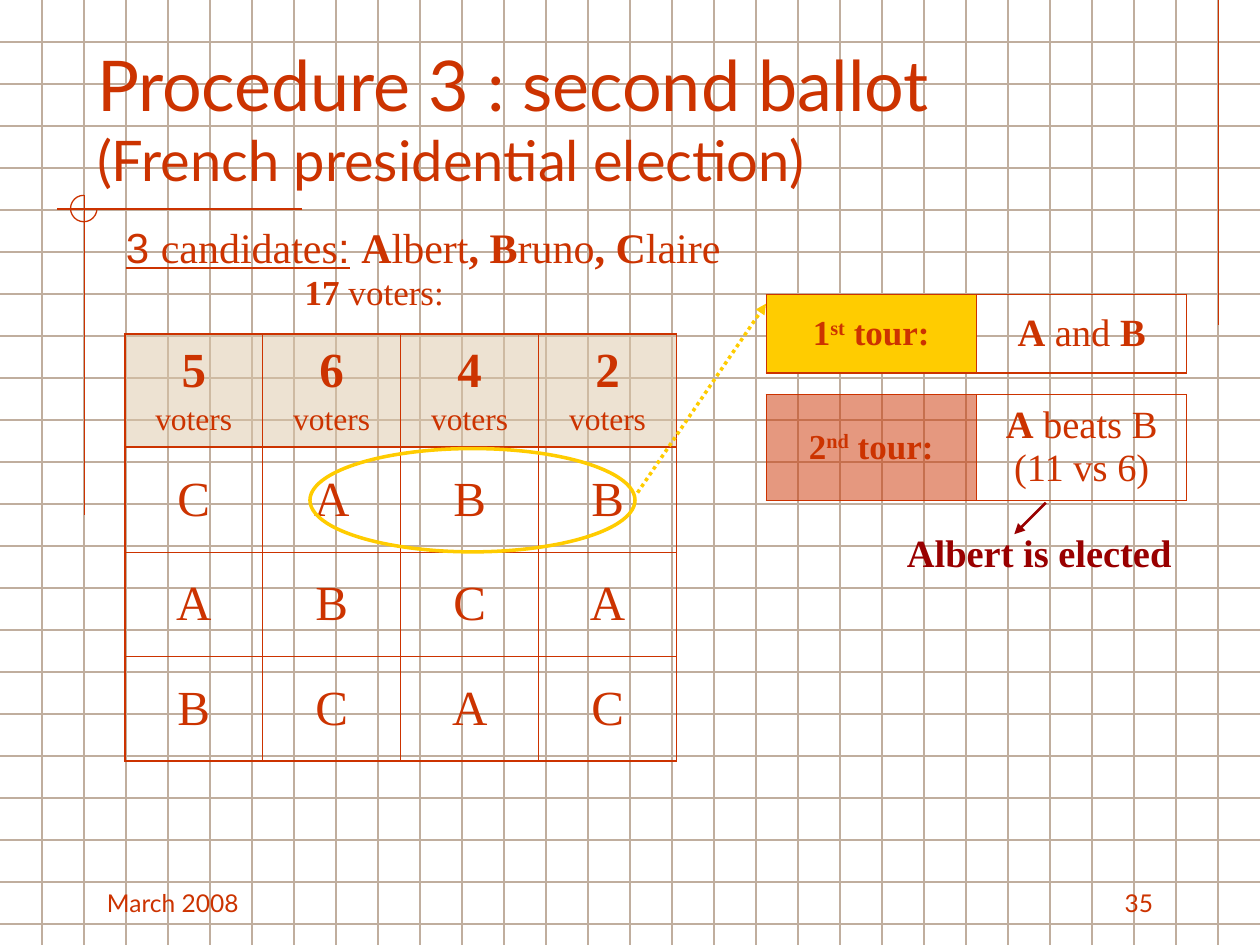
from pptx import Presentation
from pptx.dml.color import RGBColor
from pptx.enum.dml import MSO_LINE
from pptx.enum.shapes import MSO_CONNECTOR, MSO_SHAPE
from pptx.enum.text import MSO_ANCHOR, MSO_AUTO_SIZE, PP_ALIGN
from pptx.oxml.ns import qn
from pptx.util import Inches, Pt
from lxml.etree import SubElement

INK = {"rust": "CC3300", "grid": "C0AE9E", "gold": "FFCC00",
       "wine": "990000", "sand": "DDC6A7"}
SERIF, HEAD, SANS = "Times New Roman", "Lato", "Arial"

# Content: a run is (text, flags), b bold, u underlined, s sans, ^ raised
TITLE = "Procedure 3 : second ballot\v(French presidential election)"
NAMES = [("3 ", "us"), ("candidates", "u"), (":", "us"), (" ", "bs"),
         ("A", "b"), ("lbert", ""), (", B", "b"), ("runo", ""),
         (", C", "b"), ("laire", "")]
TOTAL = [("17", "b"), (" voters:", "")]
GROUPS = ["5", "6", "4", "2"]
RANKS = ["CABB", "ABCA", "BCAC"]
# Top, height, label fill, opacity, label, outcome
TOURS = [
    (2.34, 0.62, "gold", 100, [("1", "b"), ("st", "b^"), (" tour:", "b")],
     [("A", "b"), (" and ", ""), ("B", "b")]),
    (3.13, 0.84, "rust", 50, [("2", "b"), ("nd", "b^"), (" tour:", "b")],
     [("A", "b"), (" beats B (11 vs 6)", "")]),
]
WINNER = [("Albert is elected", "b")]

prs = Presentation()
prs.slide_width, prs.slide_height = Inches(10), Inches(7.5)
slide = prs.slides.add_slide(prs.slide_layouts[5])
shapes = slide.shapes


def tint(name):
    return RGBColor.from_string(INK[name])


def style(font, size, face=SERIF, color="rust"):
    font.size, font.name = Pt(size), face
    font.color.rgb = tint(color)


def write(par, runs, size, face=SERIF, color="rust", align=PP_ALIGN.LEFT):
    par.alignment = align
    for text, flags in runs:
        run = par.add_run()
        run.text = text
        style(run.font, size, SANS if "s" in flags else face, color)
        run.font.bold = "b" in flags
        run.font.underline = "u" in flags
        if "^" in flags:
            run.font._element.set("baseline", "30000")


def label(x, y, w, h, runs, size, anchor=MSO_ANCHOR.TOP, **look):
    frame = shapes.add_textbox(*map(Inches, (x, y, w, h))).text_frame
    frame.word_wrap, frame.vertical_anchor = True, anchor
    write(frame.paragraphs[0], runs, size, **look)


def line(x1, y1, x2, y2, color="rust", width=0.75, arrow=False):
    link = shapes.add_connector(MSO_CONNECTOR.STRAIGHT,
                                *map(Inches, (x1, y1, x2, y2)))
    link.line.color.rgb, link.line.width = tint(color), Pt(width)
    if arrow:
        SubElement(link.line._get_or_add_ln(), qn("a:tailEnd"), type="triangle")
    SubElement(link._element.spPr, qn("a:effectLst"))
    return link


def outline(kind, x, y, w, h, color, width):
    shape = shapes.add_shape(kind, *map(Inches, (x, y, w, h)))
    shape.shadow.inherit = False
    shape.fill.background()
    shape.line.color.rgb, shape.line.width = tint(color), Pt(width)
    return shape


def table(x, y, widths, heights, edge, head=False):
    """Add a plain table with thick outer and thin inner borders."""
    grid = shapes.add_table(len(heights), len(widths), Inches(x), Inches(y),
                            Inches(sum(widths)), Inches(sum(heights))).table
    grid.first_row = grid.horz_banding = False
    for col, w in zip(grid.columns, widths):
        col.width = Inches(w)
    for row, h in zip(grid.rows, heights):
        row.height = Inches(h)
    for r in range(len(heights)):
        for c in range(len(widths)):
            cell = grid.cell(r, c)
            cell.vertical_anchor = MSO_ANCHOR.MIDDLE
            thick = {"L": c == 0, "R": c == len(widths) - 1,
                     "T": r == 0 or head and r == 1,
                     "B": r == len(heights) - 1 or head and r == 0}
            for side, outer in thick.items():
                ln = SubElement(cell._tc.get_or_add_tcPr(), qn("a:ln" + side),
                                w=str(Pt(edge if outer else 0.45)))
                SubElement(SubElement(ln, qn("a:solidFill")),
                           qn("a:srgbClr"), val=INK["rust"])
            cell.fill.background()
    return grid


def paint(cell, color, alpha):
    cell.fill.solid()
    cell.fill.fore_color.rgb = tint(color)
    if alpha < 100:
        clr = cell._tc.tcPr.find(qn("a:solidFill")).find(qn("a:srgbClr"))
        SubElement(clr, qn("a:alpha"), val=str(alpha * 1000))


def center(cell, runs, size):
    write(cell.text_frame.paragraphs[0], runs, size, align=PP_ALIGN.CENTER)


# Squared paper
for i in range(1, 23):
    line(0, i / 3, 10, i / 3, "grid")
for i in range(1, 30):
    line(i / 3, 0, i / 3, 7.5, "grid")

# Rust ornaments
line(9.67, 0, 9.67, 2.58)
line(2.4, 1.66, 0.45, 1.66)
line(0.67, 1.55, 0.67, 4.09)
arc = outline(MSO_SHAPE.ARC, 0.56, 1.55, 0.21, 0.21, "rust", 0.75)
arc.adjustments[0], arc.adjustments[1] = 0, 162

# Footer
for x, text, align in [(0.75, "March 2008", PP_ALIGN.LEFT),
                       (7.17, "35", PP_ALIGN.RIGHT)]:
    label(x, 6.83, 2.08, 0.5, [(text, "")], 14, face=HEAD,
          anchor=MSO_ANCHOR.BOTTOM, align=align)

# Candidates and voters
label(0.9, 1.71, 5.04, 0.5, NAMES, 24)
label(2.32, 2.1, 1.5, 0.44, TOTAL, 20)

# Preference table
votes = table(0.99, 2.65, [1.095] * 4, [0.9] + [0.83] * 3, 1.08, head=True)
for c, count in enumerate(GROUPS):
    cell = votes.cell(0, c)
    paint(cell, "sand", 50)
    center(cell, [(count, "b")], 28)
    unit = cell.text_frame.add_paragraph()
    unit.space_before = Pt(2.2)
    write(unit, [("voters", "")], 18, align=PP_ALIGN.CENTER)
    for r, rank in enumerate(RANKS, 1):
        center(votes.cell(r, c), [(rank[c], "")], 28)

# First choices lead to the first tour
link = line(5.06, 3.91, 6.08, 2.41, "gold", 2, arrow=True)
link.line.dash_style = MSO_LINE.ROUND_DOT
outline(MSO_SHAPE.OVAL, 2.46, 3.56, 2.58, 0.82, "gold", 2)

# Tours
for top, high, color, alpha, name, result in TOURS:
    tour = table(6.08, top, [1.67] * 2, [high], 0.75)
    paint(tour.cell(0, 0), color, alpha)
    center(tour.cell(0, 0), name, 20)
    center(tour.cell(0, 1), result, 22)

# Winner
label(7.1, 4.15, 2.6, 0.47, WINNER, 22, color="wine")
line(8.3, 3.99, 8.05, 4.24, "wine", 1.5, arrow=True)

# Title, brought in front of the squared paper
title = shapes.title
title.left, title.top, title.width, title.height = map(
    Inches, (0.67, 0.33, 8.5, 1.25))
frame = title.text_frame
frame.text = TITLE
frame.auto_size, frame.vertical_anchor = MSO_AUTO_SIZE.NONE, MSO_ANCHOR.BOTTOM
par = frame.paragraphs[0]
par.alignment = PP_ALIGN.LEFT
for run, size in zip(par.runs, (40, 32)):
    style(run.font, size, HEAD)
shapes._spTree.append(title._element)

prs.save("out.pptx")
